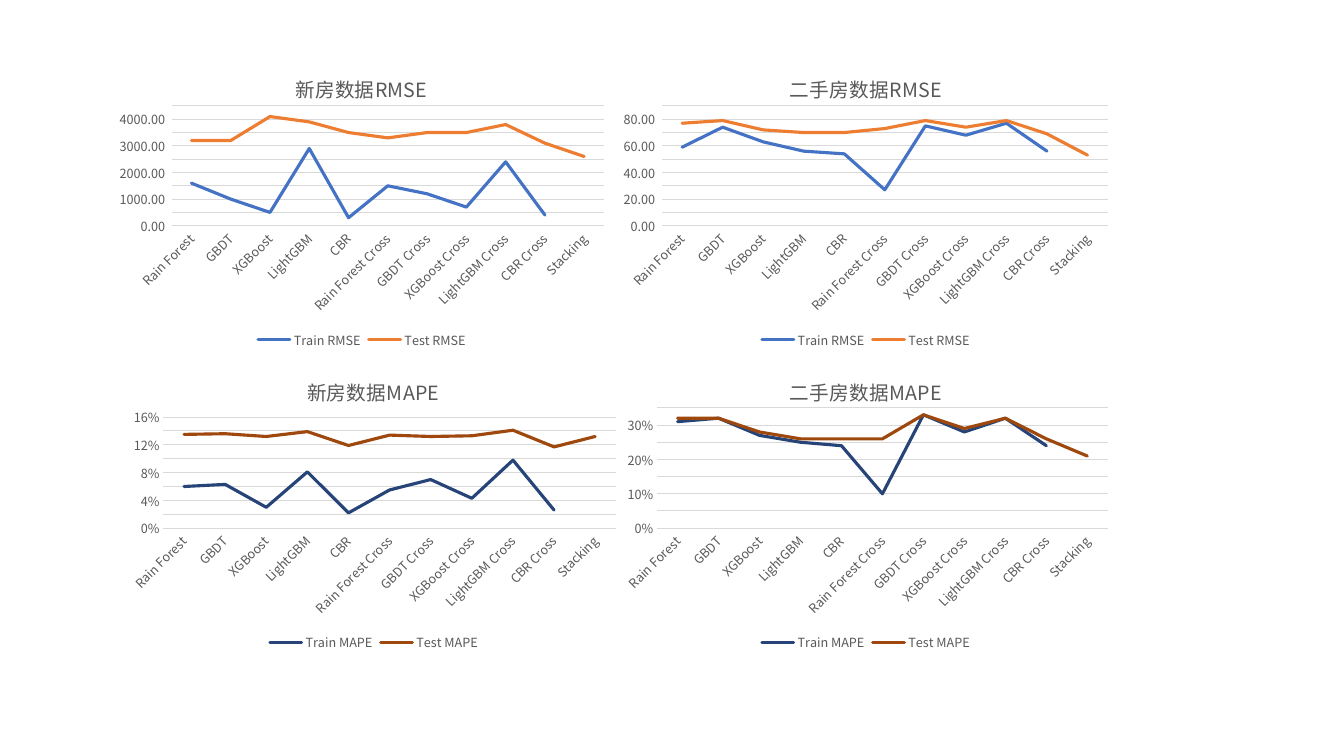
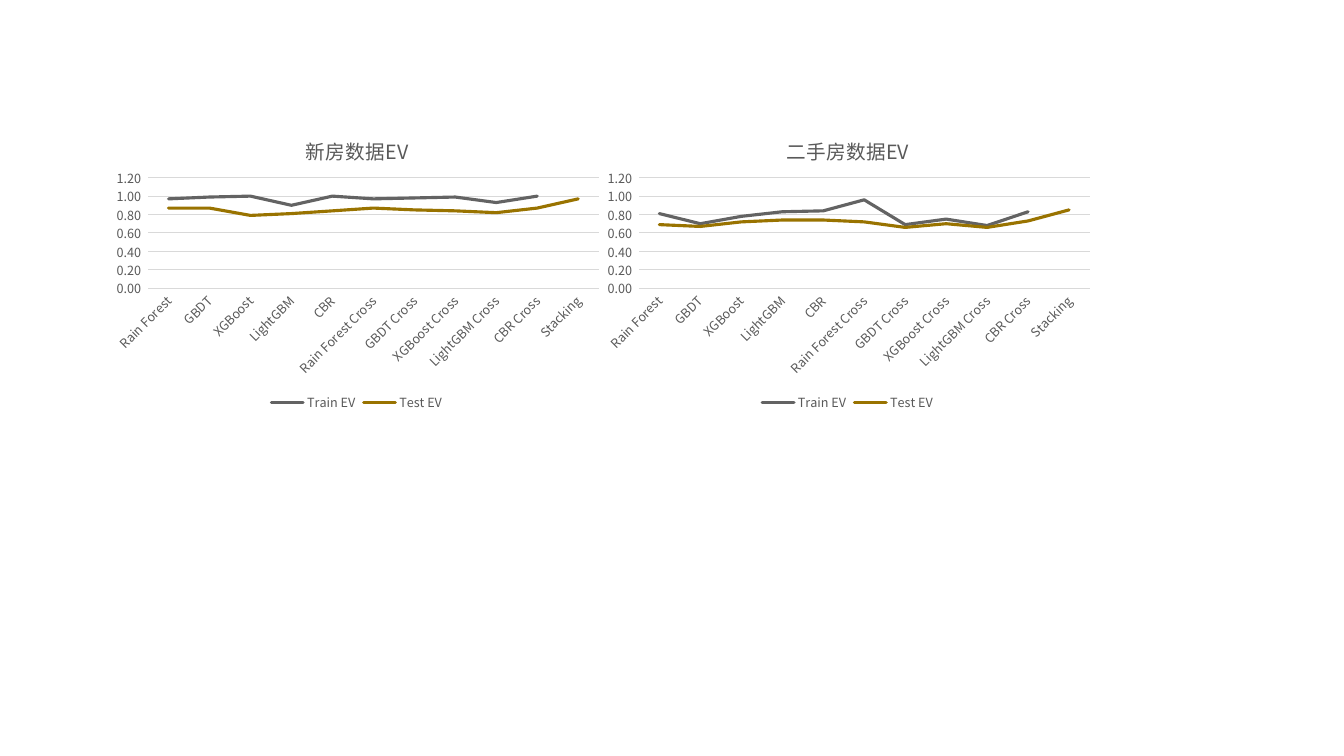
import pptx
import pptx.chart.data
import pptx.dml.color
import pptx.enum.chart
import pptx.oxml.ns
import pptx.util
from lxml import etree

Cm = pptx.util.Cm
Pt = pptx.util.Pt
RGBColor = pptx.dml.color.RGBColor
qn = pptx.oxml.ns.qn

FONT = "Noto Sans CJK SC"
TEXT_GREY = RGBColor(0x59, 0x59, 0x59)
GRID_GREY = RGBColor(0xD9, 0xD9, 0xD9)
SERIES_COLORS = {
    "RMSE": (RGBColor(0x44, 0x72, 0xC4), RGBColor(0xED, 0x7D, 0x31)),
    "MAPE": (RGBColor(0x26, 0x44, 0x78), RGBColor(0x9E, 0x48, 0x0E)),
    "EV": (RGBColor(0x63, 0x63, 0x63), RGBColor(0x99, 0x73, 0x00)),
}
DECIMAL = r"0.00_);[Red]\(0.00\)"
NUMBER_FORMATS = {"RMSE": DECIMAL, "MAPE": "0%", "EV": DECIMAL}

MODELS = ["Rain Forest", "GBDT", "XGBoost", "LightGBM", "CBR"]
CATEGORIES = MODELS + [f"{model} Cross" for model in MODELS] + ["Stacking"]

# Lengths in centimetres; plot edges are measured inside the chart frame
CHART_WIDTH, CHART_HEIGHT = 12.7, 7.62
PLOT_RIGHT, PLOT_BOTTOM = 12.45, 4.42
TITLE_TOP = 0.46

# Per chart: data set, metric, frame corner, title left, plot corner,
# axis maximum and step, train values, test values
PAGES = [
    [
        ("二手房数据", "RMSE", (15.47, 1.27), 4.34, (1.21, 1.4), 90, 10,
         [59, 74, 63, 56, 54, 27, 75, 68, 77, 56, None],
         [77, 79, 72, 70, 70, 73, 79, 74, 79, 69, 53]),
        ("二手房数据", "MAPE", (15.47, 8.89), 4.34, (1.09, 1.39), 0.35, 0.05,
         [0.31, 0.32, 0.27, 0.25, 0.24, 0.1, 0.33, 0.28, 0.32, 0.24, None],
         [0.32, 0.32, 0.28, 0.26, 0.26, 0.26, 0.33, 0.29, 0.32, 0.26, 0.21]),
        ("新房数据", "RMSE", (2.77, 1.27), 4.58, (1.56, 1.4), 4500, 500,
         [1600, 1000, 500, 2900, 300, 1500, 1200, 700, 2400, 400, None],
         [3200, 3200, 4100, 3900, 3500, 3300, 3500, 3500, 3800, 3100, 2600]),
        ("新房数据", "MAPE", (3.07, 8.89), 4.58, (1.05, 1.62), 0.16, 0.02,
         [0.06, 0.063, 0.03, 0.081, 0.022, 0.055, 0.07, 0.043, 0.098, 0.026,
          None],
         [0.135, 0.136, 0.132, 0.139, 0.119, 0.134, 0.132, 0.133, 0.141,
          0.117, 0.132]),
    ],
    [
        ("二手房数据", "EV", (15.01, 2.84), 4.72, (1.09, 1.64), 1.2, 0.2,
         [0.81, 0.7, 0.78, 0.83, 0.84, 0.96, 0.69, 0.75, 0.68, 0.83, None],
         [0.69, 0.67, 0.72, 0.74, 0.74, 0.72, 0.66, 0.7, 0.66, 0.73, 0.85]),
        ("新房数据", "EV", (2.64, 2.84), 4.97, (1.09, 1.64), 1.2, 0.2,
         [0.97, 0.99, 1, 0.9, 1, 0.97, 0.98, 0.99, 0.93, 1, None],
         [0.87, 0.87, 0.79, 0.81, 0.84, 0.87, 0.85, 0.84, 0.82, 0.87, 0.97]),
    ],
]


def set_layout(parent, left, top, size=None):
    """Fix a chart part at a place, and a plot area also at an inner size."""
    layout = parent.find(qn("c:layout"))
    if layout is None:
        layout = etree.Element(qn("c:layout"))
        parent.insert(0, layout)
    manual = etree.SubElement(layout, qn("c:manualLayout"))
    settings = [("xMode", "edge"), ("yMode", "edge"),
                ("x", left / CHART_WIDTH), ("y", top / CHART_HEIGHT)]
    if size:
        settings.insert(0, ("layoutTarget", "inner"))
        settings += [("w", size[0] / CHART_WIDTH), ("h", size[1] / CHART_HEIGHT)]
    for name, value in settings:
        etree.SubElement(manual, qn(f"c:{name}"), val=str(value))


def style_font(font, size):
    font.name = FONT
    font.size = Pt(size)
    font.bold = False
    font.color.rgb = TEXT_GREY


deck = pptx.Presentation()
deck.slide_width = Cm(33.87)
deck.slide_height = Cm(19.05)

for charts in PAGES:
    page = deck.slides.add_slide(deck.slide_layouts[6])
    for (dataset, metric, corner, title_left, plot_corner, maximum, step,
         train, test) in charts:
        data = pptx.chart.data.CategoryChartData()
        data.categories = CATEGORIES
        data.add_series(f"Train {metric}", train)
        data.add_series(f"Test {metric}", test)
        chart = page.shapes.add_chart(
            pptx.enum.chart.XL_CHART_TYPE.LINE, Cm(corner[0]), Cm(corner[1]),
            Cm(CHART_WIDTH), Cm(CHART_HEIGHT), data).chart
        style_font(chart.font, 10)

        chart.has_title = True
        heading = chart.chart_title.text_frame.paragraphs[0]
        heading.text = f"{dataset}{metric}"
        style_font(heading.font, 14)
        set_layout(chart.element.find(f".//{qn('c:title')}"),
                   title_left, TITLE_TOP)
        plot_left, plot_top = plot_corner
        set_layout(chart.element.find(f".//{qn('c:plotArea')}"),
                   plot_left, plot_top,
                   (PLOT_RIGHT - plot_left, PLOT_BOTTOM - plot_top))

        chart.has_legend = True
        chart.legend.position = pptx.enum.chart.XL_LEGEND_POSITION.BOTTOM
        chart.legend.include_in_layout = False
        style_font(chart.legend.font, 9)

        for axis in (chart.category_axis, chart.value_axis):
            axis.major_tick_mark = pptx.enum.chart.XL_TICK_MARK.NONE
            style_font(axis.tick_labels.font, 9)
        category_axis, value_axis = chart.category_axis, chart.value_axis
        category_axis.format.line.color.rgb = GRID_GREY
        category_axis.format.line.width = Pt(0.75)
        category_labels = category_axis._element.find(
            f"{qn('c:txPr')}/{qn('a:bodyPr')}")
        category_labels.set("rot", "-2700000")
        value_axis.format.line.fill.background()
        value_axis.major_gridlines.format.line.color.rgb = GRID_GREY
        value_axis.major_gridlines.format.line.width = Pt(0.75)
        value_axis.minimum_scale = 0
        value_axis.maximum_scale = maximum
        value_axis.major_unit = step
        value_axis.tick_labels.number_format = NUMBER_FORMATS[metric]
        value_axis.tick_labels.number_format_is_linked = False

        plot = chart.plots[0]
        plot.vary_by_categories = False
        for series, color in zip(plot.series, SERIES_COLORS[metric]):
            series.smooth = False
            series.format.line.color.rgb = color
            series.format.line.width = Pt(2.25)
            series.format.line._get_or_add_ln().set("cap", "rnd")

        # Chinese characters take their typeface from a:ea
        for latin in list(chart.element.iter(qn("a:latin"))):
            latin.addnext(etree.Element(qn("a:ea"), typeface=FONT))

deck.save("out.pptx")
